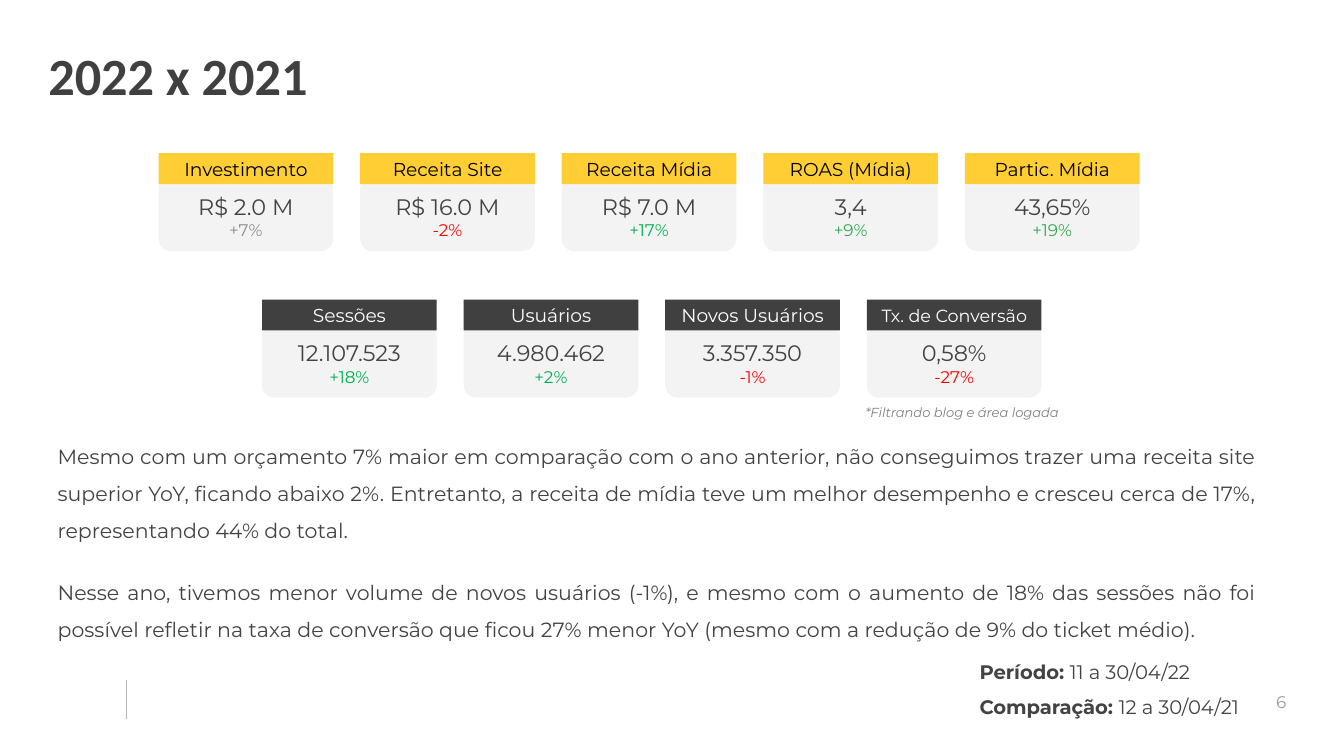
from lxml import etree
from pptx import Presentation
from pptx.dml.color import RGBColor
from pptx.enum.shapes import MSO_CONNECTOR, MSO_SHAPE
from pptx.enum.text import MSO_ANCHOR, MSO_AUTO_SIZE, PP_ALIGN
from pptx.oxml.ns import qn
from pptx.util import Inches, Pt

STRAIGHT = MSO_CONNECTOR.STRAIGHT
RECT = MSO_SHAPE.RECTANGLE
ROUND_RECT = MSO_SHAPE.ROUNDED_RECTANGLE
TOP = MSO_ANCHOR.TOP
MIDDLE = MSO_ANCHOR.MIDDLE
NO_AUTOFIT = MSO_AUTO_SIZE.NONE
LEFT = PP_ALIGN.LEFT
CENTER = PP_ALIGN.CENTER
RIGHT = PP_ALIGN.RIGHT
JUSTIFY = PP_ALIGN.JUSTIFY

YELLOW = RGBColor(0xFF, 0xCD, 0x34)
CHARCOAL = RGBColor(0x40, 0x40, 0x41)
TEXT = RGBColor(0x43, 0x43, 0x43)
CARD = RGBColor(0xF3, 0xF3, 0xF3)
BLACK = RGBColor(0x00, 0x00, 0x00)
WHITE = RGBColor(0xFF, 0xFF, 0xFF)
RED = RGBColor(0xFF, 0x00, 0x00)
GREEN = RGBColor(0x00, 0xB0, 0x50)
SOFT_GREEN = RGBColor(0x34, 0xA8, 0x53)
NEUTRAL = RGBColor(0x8C, 0x8C, 0x8E)
NOTE_GRAY = RGBColor(0x80, 0x80, 0x80)
NUMBER_GRAY = RGBColor(0x99, 0x99, 0x99)
RULE_GRAY = RGBColor(0xB7, 0xB7, 0xB7)

CARD_WIDTH = 1.3
CARD_PITCH = 1.5

RESULTS = [
    ("Investimento", "R$ 2.0 M", "+7%", NEUTRAL, 10),
    ("Receita Site", "R$ 16.0 M", "-2%", RED, 10),
    ("Receita Mídia", "R$ 7.0 M", "+17%", GREEN, 10),
    ("ROAS (Mídia)", "3,4", "+9%", SOFT_GREEN, 10),
    ("Partic. Mídia", "43,65%", "+19%", SOFT_GREEN, 10),
]
TRAFFIC = [
    ("Sessões", "12.107.523", "+18%", GREEN, 10),
    ("Usuários", "4.980.462", "+2%", GREEN, 10),
    ("Novos Usuários", "3.357.350", "-1%", RED, 10),
    ("Tx. de Conversão", "0,58%", "-27%", RED, 9.4),
]
COMMENTS = [
    "Mesmo com um orçamento 7% maior em comparação com o ano anterior, "
    "não conseguimos trazer uma receita site superior YoY, ficando abaixo 2%. "
    "Entretanto, a receita de mídia teve um melhor desempenho e cresceu cerca "
    "de 17%, representando 44% do total.",
    "Nesse ano, tivemos menor volume de novos usuários (-1%), e mesmo com o "
    "aumento de 18% das sessões não foi possível refletir na taxa de conversão "
    "que ficou 27% menor YoY (mesmo com a redução de 9% do ticket médio).",
]
PERIODS = [("Período: ", "11 a 30/04/22"), ("Comparação: ", "12 a 30/04/21")]


def add_text(tf, text, size, color=TEXT, font="Montserrat", bold=False,
             italic=False, align=LEFT, spacing=None, before=None, inline=False):
    p = tf.paragraphs[-1]
    if p.runs and not inline:
        p = tf.add_paragraph()
    if not inline:
        p.alignment = align
        p.line_spacing = spacing
        p.space_before = before
    r = p.add_run()
    r.text = text
    r.font.name = font
    r.font.size = Pt(size)
    r.font.bold = bold
    r.font.italic = italic
    r.font.color.rgb = color


def format_frame(tf, anchor=TOP, inset=0.1, inset_y=None):
    tf.word_wrap = True
    tf.auto_size = NO_AUTOFIT
    tf.vertical_anchor = anchor
    tf.margin_left = tf.margin_right = Inches(inset)
    tf.margin_top = tf.margin_bottom = Inches(inset if inset_y is None else inset_y)
    return tf


def add_box(s, x, y, w, h, **frame):
    sp = s.shapes.add_textbox(Inches(x), Inches(y), Inches(w), Inches(h))
    return format_frame(sp.text_frame, **frame)


def add_panel(s, kind, x, y, h, fill, anchor=TOP):
    sp = s.shapes.add_shape(kind, Inches(x), Inches(y), Inches(CARD_WIDTH), Inches(h))
    sp.shadow.inherit = False
    sp.fill.solid()
    sp.fill.fore_color.rgb = fill
    sp.line.fill.background()
    return format_frame(sp.text_frame, anchor=anchor)


def add_cards(s, cards, left, top, fill, label_color):
    for i, (label, value, change, change_color, label_size) in enumerate(cards):
        x = left + i * CARD_PITCH
        tf = add_panel(s, ROUND_RECT, x, top + 0.17, 0.56, CARD)
        add_text(tf, value, 12, align=CENTER)
        add_text(tf, change, 9, color=change_color, align=CENTER)
        tf = add_panel(s, RECT, x, top, 0.23, fill, anchor=MIDDLE)
        add_text(tf, label, label_size, color=label_color, align=CENTER)


def add_title(s, text):
    sp = s.shapes.title
    sp.left, sp.top = Inches(0.33), Inches(0.22)
    sp.width, sp.height = Inches(4.05), Inches(0.56)
    tf = format_frame(sp.text_frame, inset=0.03)
    add_text(tf, text, 28, color=CHARCOAL, font="Calibri", bold=True, spacing=1.15)


def add_footer_rule(s):
    line = s.shapes.add_connector(STRAIGHT, Inches(0.94), Inches(5.06),
                                  Inches(0.94), Inches(5.35))
    line.line.color.rgb = RULE_GRAY
    line.line.width = Pt(0.75)
    etree.SubElement(line._element.spPr, qn("a:effectLst"))


def main():
    prs = Presentation()
    prs.slide_width, prs.slide_height = Inches(10), Inches(10 * 9 / 16)
    s = prs.slides.add_slide(prs.slide_layouts[5])

    add_footer_rule(s)
    tf = add_box(s, 9.07, 5.01, 0.6, 0.43, anchor=MIDDLE)
    add_text(tf, "6", 9, color=NUMBER_GRAY, align=RIGHT)
    add_title(s, "2022 x 2021")

    tf = add_box(s, 0.33, 3.15, 9.12, 1.68, anchor=MIDDLE)
    for i, comment in enumerate(COMMENTS):
        add_text(tf, comment, 11, align=JUSTIFY, spacing=1.5,
                 before=Pt(13.4) if i else None)

    add_cards(s, RESULTS, 1.18, 1.14, YELLOW, BLACK)
    add_cards(s, TRAFFIC, 1.95, 2.23, CHARCOAL, WHITE)

    tf = add_box(s, 7.19, 4.72, 2.18, 0.72)
    for label, dates in PERIODS:
        add_text(tf, label, 10.5, bold=True, spacing=1.5)
        add_text(tf, dates, 10.5, inline=True)

    tf = add_box(s, 6.34, 2.96, 1.71, 0.22, inset_y=0.05)
    add_text(tf, "*Filtrando blog e área logada", 7, color=NOTE_GRAY, italic=True)

    prs.save("out.pptx")


if __name__ == "__main__":
    main()
